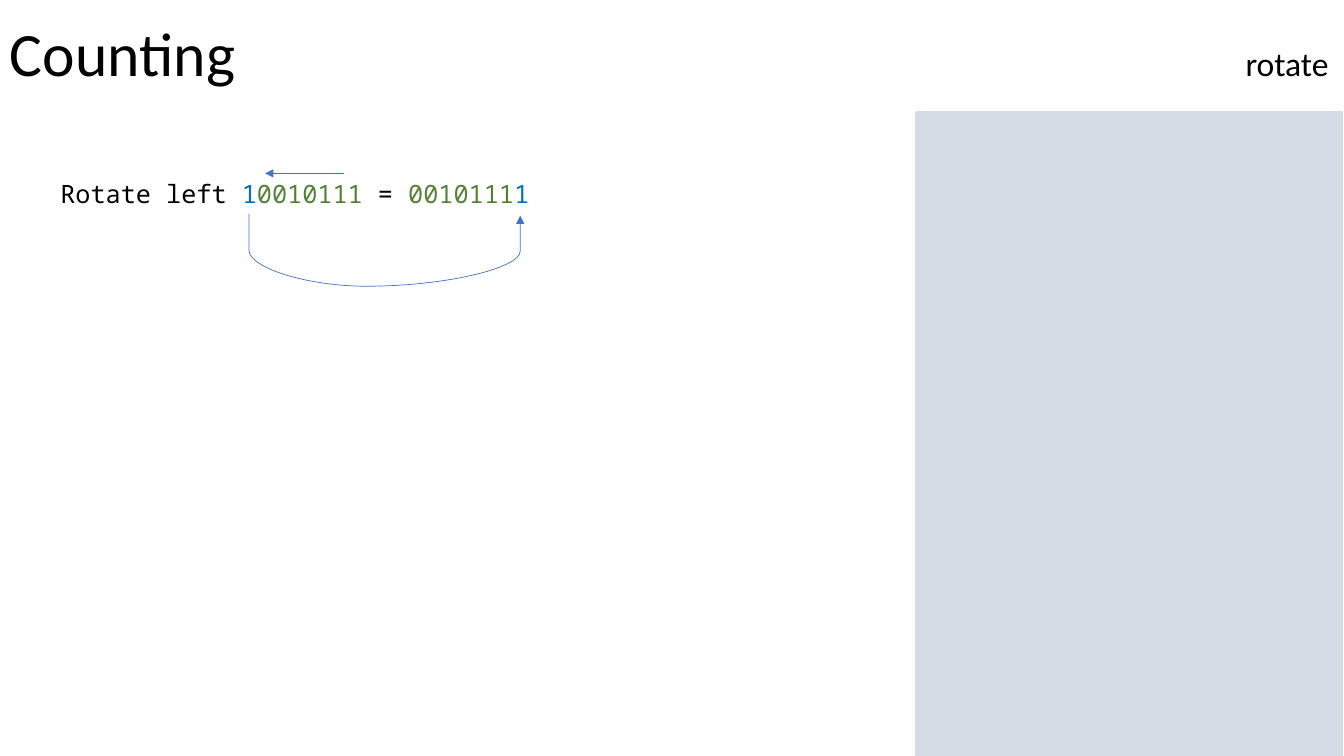
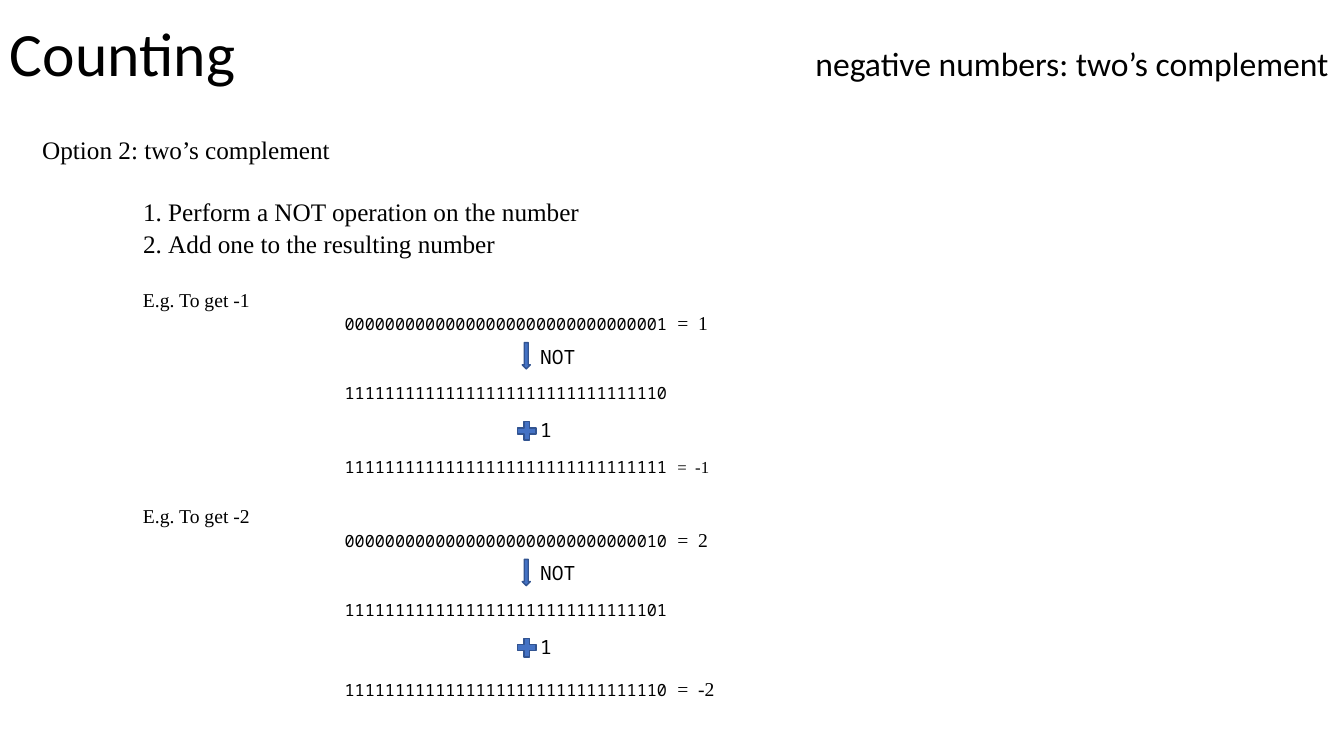
from lxml import etree
from pptx import Presentation
from pptx.dml.color import RGBColor
from pptx.enum.shapes import MSO_CONNECTOR, MSO_SHAPE
from pptx.enum.text import MSO_ANCHOR
from pptx.oxml.ns import qn
from pptx.util import Emu, Inches, Pt

RECTANGLE = MSO_SHAPE.RECTANGLE
DOWN_ARROW = MSO_SHAPE.DOWN_ARROW
PLUS = MSO_SHAPE.MATH_PLUS
STRAIGHT = MSO_CONNECTOR.STRAIGHT
CURVE = MSO_CONNECTOR.CURVE
TOP = MSO_ANCHOR.TOP
MIDDLE = MSO_ANCHOR.MIDDLE

COLORS = {
    "text": "000000",
    "panel": "D6DCE5",
    "accent": "4472C4",
    "outline": "325491",
    "carried_bit": "0070C0",
    "shifted_bits": "548235",
}
SANS = "Calibri"
MONO = "Noto Sans Mono"
SERIF = "Times New Roman"

SLIDE_WIDTH, SLIDE_HEIGHT = 13.33, 7.5
TITLE_BOX = (0, -0.16, SLIDE_WIDTH, 1.45)
SUBTITLE_RIGHT = 13.08
ROW_HEIGHT = 0.4


def rgb(name):
    return RGBColor.from_string(COLORS[name])


def add_text(slide, box, paragraphs, font=SERIF, size=18, color="text",
             anchor=TOP, wrap=True):
    """Each paragraph is a list of (text, overrides) runs; returns the paragraphs."""
    frame = slide.shapes.add_textbox(*map(Inches, box)).text_frame
    frame.word_wrap = wrap
    frame.vertical_anchor = anchor
    for index, runs in enumerate(paragraphs):
        paragraph = frame.add_paragraph() if index else frame.paragraphs[0]
        for text, overrides in runs:
            style = {"font": font, "size": size, "color": color, **overrides}
            run = paragraph.add_run()
            run.text = text
            run.font.name = style["font"]
            run.font.size = Pt(style["size"])
            run.font.color.rgb = rgb(style["color"])
    return frame.paragraphs


def add_block(slide, kind, box, fill, line, line_width):
    shape = slide.shapes.add_shape(kind, *map(Inches, box))
    shape.shadow.inherit = False
    shape.fill.solid()
    shape.fill.fore_color.rgb = rgb(fill)
    shape.line.color.rgb = rgb(line)
    shape.line.width = Pt(line_width)


def add_line(slide, start, end, kind=STRAIGHT, arrow=False):
    """Curved lines bend at their far end, so that they arrive vertically."""
    connector = slide.shapes.add_connector(kind, *map(Inches, start + end))
    connector.line.color.rgb = rgb("accent")
    connector.line.width = Pt(0.5)
    properties = connector._element.spPr
    if arrow:
        etree.SubElement(properties.find(qn("a:ln")), qn("a:tailEnd"), type="triangle")
    if kind == CURVE:
        geometry = properties.find(qn("a:prstGeom"))
        adjustments = geometry.find(qn("a:avLst"))
        if adjustments is None:
            adjustments = etree.SubElement(geometry, qn("a:avLst"))
        etree.SubElement(adjustments, qn("a:gd"), name="adj1", fmla="val 100000")
    etree.SubElement(properties, qn("a:effectLst"))


def add_title(slide, subtitle):
    """Topic on the left, subtitle at a right tab on the same baseline."""
    runs = [("Counting", {"size": 44}), ("\t" + subtitle, {"size": 24})]
    paragraph = add_text(slide, TITLE_BOX, [runs], font=SANS, anchor=MIDDLE)[0]
    paragraph.line_spacing = 0.9
    tabs = etree.SubElement(paragraph._p.get_or_add_pPr(), qn("a:tabLst"))
    etree.SubElement(tabs, qn("a:tab"), pos=str(Inches(SUBTITLE_RIGHT)), algn="r")


def add_rotation(slide, left, top):
    """Left rotation of a byte, with arrows for the shift and the carried bit."""
    carried = ("1", {"color": "carried_bit"})
    shifted = ("0010111", {"color": "shifted_bits"})
    runs = [("Rotate left ", {}), carried, shifted, (" = ", {}), shifted, carried]
    add_text(slide, (left, top, 4.88, 0.4), [runs], font=MONO, wrap=False)
    bottom = (left + 3.14, top + 1.12)
    add_line(slide, bottom, (left + 4.66, top + 0.42), CURVE, arrow=True)
    add_line(slide, bottom, (left + 1.97, top + 0.4), CURVE)
    add_line(slide, (left + 2.91, top), (left + 2.13, top), arrow=True)


def add_method(slide, left, top):
    """Heading with the numbered steps below it."""
    lines = [
        "Option 2: two’s complement",
        "Perform a NOT operation on the number",
        "Add one to the resulting number",
    ]
    paragraphs = add_text(slide, (left, top, 12.79, 1.4), [[(line, {})] for line in lines])
    for paragraph, space in zip(paragraphs[1:], (23, 1)):
        paragraph.space_before = Pt(space)
        properties = paragraph._p.get_or_add_pPr()
        properties.set("marL", str(Inches(1.25)))
        properties.set("indent", str(Emu(-Inches(0.25))))
        etree.SubElement(properties, qn("a:buFont"), typeface=SERIF)
        etree.SubElement(properties, qn("a:buAutoNum"), type="arabicPeriod")


def add_row(slide, left, center, runs, **text_format):
    box = (left, center - ROW_HEIGHT / 2, 6, ROW_HEIGHT)
    add_text(slide, box, [runs], anchor=MIDDLE, **text_format)


def add_operation(slide, left, top, label, kind, symbol_box):
    """Symbol with its label; symbol_box is relative to the label box."""
    x, y, width, height = symbol_box
    add_text(slide, (left, top, 0.57, 0.34), [[(label, {})]], font=MONO, size=14)
    add_block(slide, kind, (left + x, top + y, width, height), "accent", "outline", 1)


def add_example(slide, left, center, number, bits, result_offset, result_size):
    """Negation of a number; center is the middle of the heading line."""
    add_row(slide, left, center, [(f"E.g. To get -{number}", {})], size=14)
    start, inverted, result = bits
    rows = [
        (0.23, start, f"=  {number}", 14),
        (0.93, inverted, "", 14),
        (result_offset, result, f"=  -{number}", result_size),
    ]
    for offset, digits, value, value_size in rows:
        runs = [(digits, {})]
        if value:
            runs += [(" ", {}), (value, {"font": SERIF, "size": value_size})]
        add_row(slide, left + 2, center + offset, runs, font=MONO, size=12)
    add_operation(slide, left + 3.94, center + 0.4, "NOT", DOWN_ARROW,
                  (-0.08, 0.03, 0.08, 0.26))
    add_operation(slide, left + 3.94, center + 1.13, "1", PLUS,
                  (-0.16, 0.05, 0.25, 0.25))


def build_rotate(slide):
    add_title(slide, "rotate")
    add_block(slide, RECTANGLE, (9.09, 1.11, 4.22, 6.39), "panel", "panel", 1.5)
    add_rotation(slide, 0.5, 1.72)


def build_complement(slide):
    add_title(slide, "negative numbers: two’s complement")
    add_method(slide, 0.32, 1.28)
    examples = [
        (1, ("00000000000000000000000000000001",
             "11111111111111111111111111111110",
             "11111111111111111111111111111111"), 1.66, 12),
        (2, ("00000000000000000000000000000010",
             "11111111111111111111111111111101",
             "11111111111111111111111111111110"), 1.71, 14),
    ]
    for index, example in enumerate(examples):
        add_example(slide, 1.32, 2.97 + 2.15 * index, *example)


def main():
    presentation = Presentation()
    presentation.slide_width = Inches(SLIDE_WIDTH)
    presentation.slide_height = Inches(SLIDE_HEIGHT)
    blank = presentation.slide_layouts[6]
    for build in (build_rotate, build_complement):
        build(presentation.slides.add_slide(blank))
    presentation.save("out.pptx")


if __name__ == "__main__":
    main()
